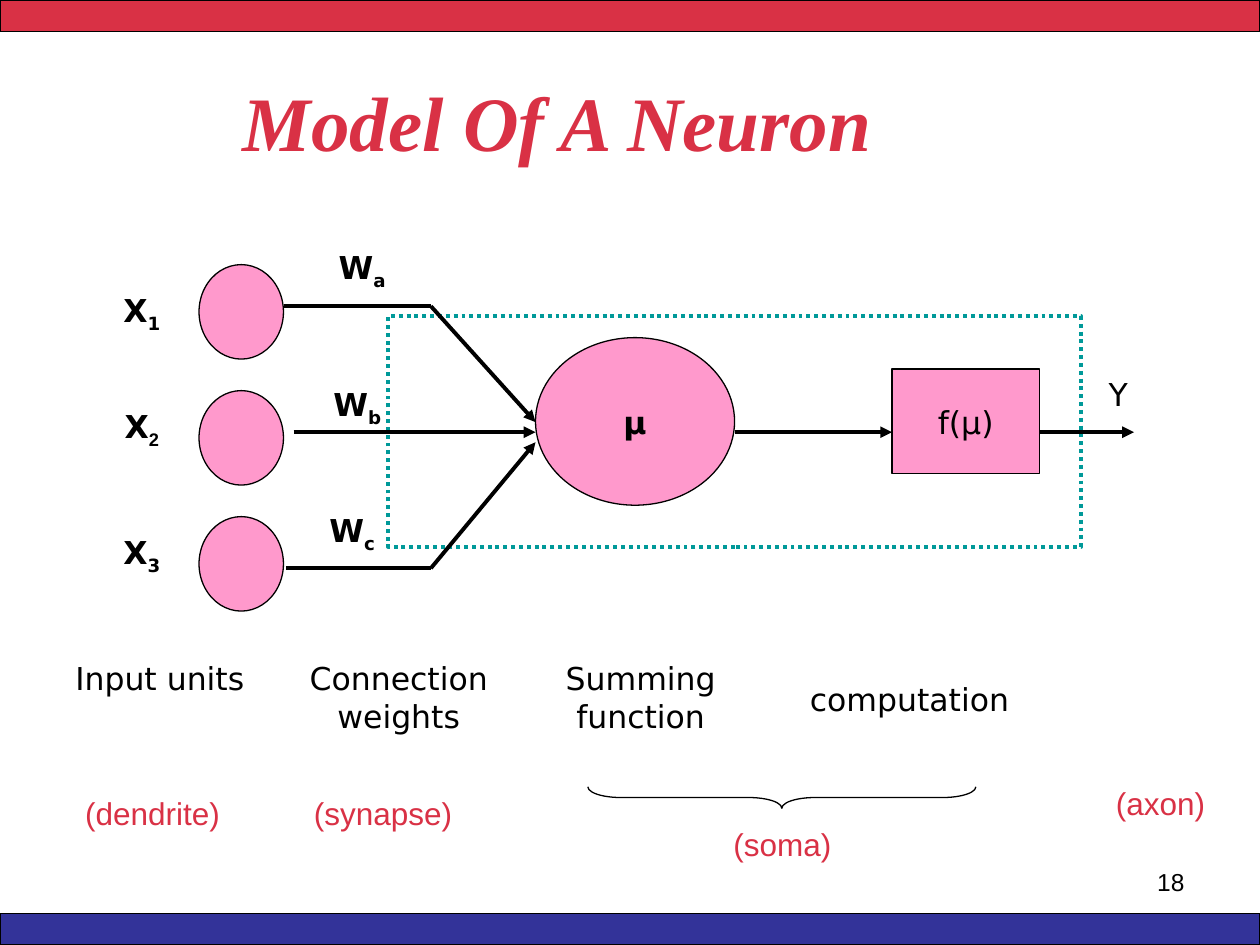
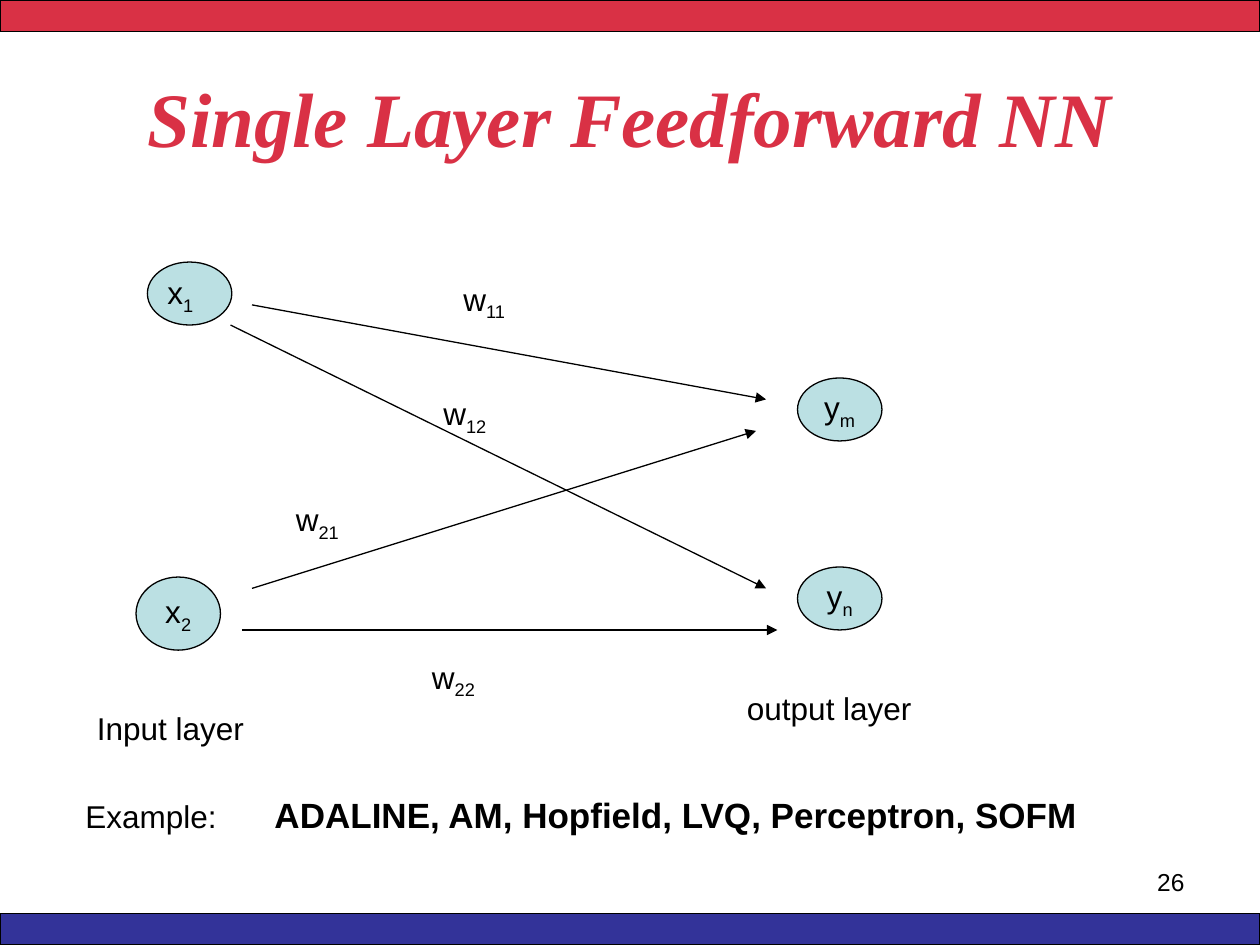
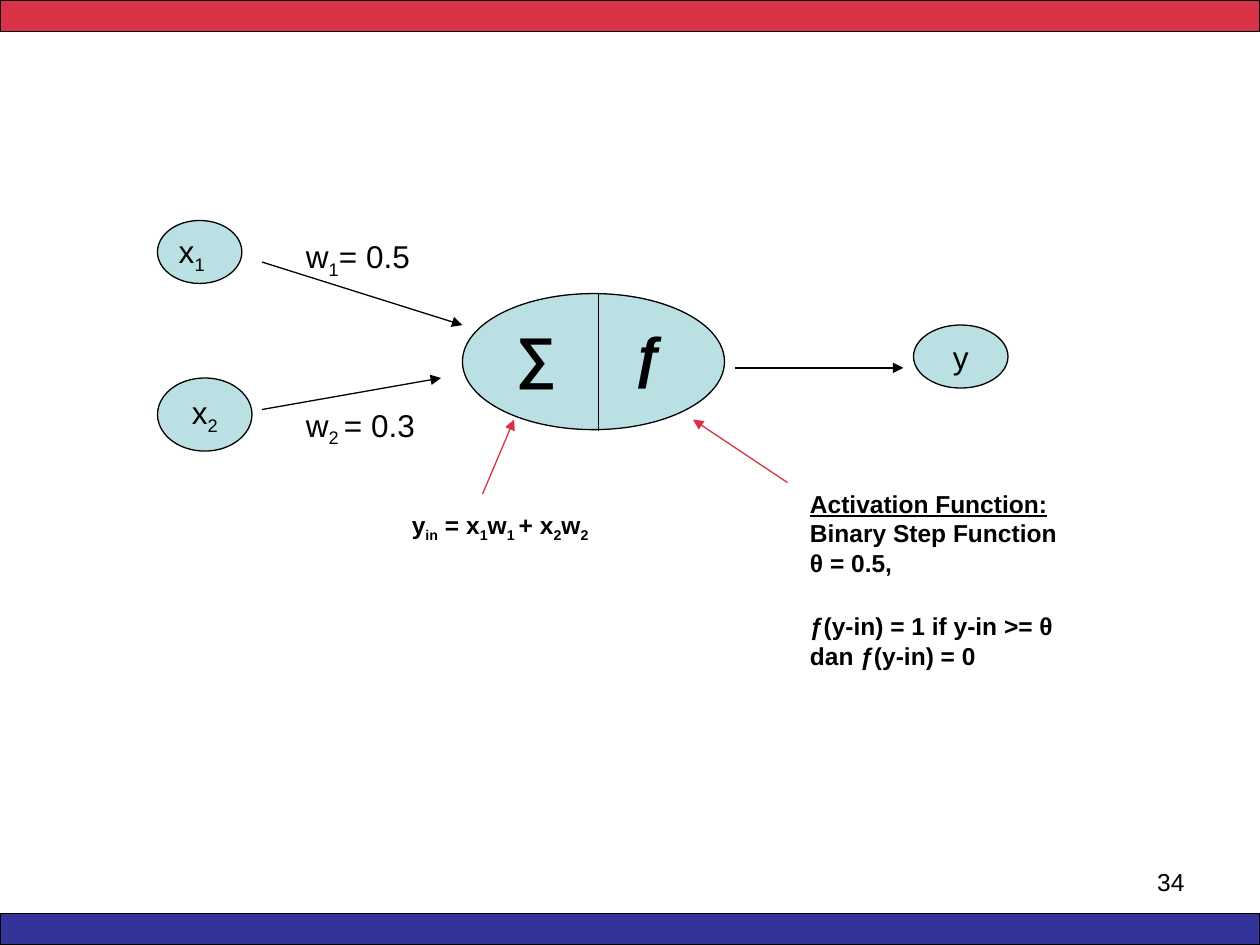
from dataclasses import dataclass, field
from typing import Any, Optional

from lxml import etree
from pptx import Presentation
from pptx.dml.color import RGBColor
from pptx.enum.dml import MSO_LINE
from pptx.enum.shapes import MSO_CONNECTOR, MSO_SHAPE
from pptx.enum.text import MSO_ANCHOR, MSO_AUTO_SIZE, PP_ALIGN
from pptx.oxml.ns import qn
from pptx.util import Inches, Pt

RECT, OVAL, BRACE = MSO_SHAPE.RECTANGLE, MSO_SHAPE.OVAL, MSO_SHAPE.RIGHT_BRACE
STRAIGHT = MSO_CONNECTOR.STRAIGHT
LEFT, CENTER, RIGHT = PP_ALIGN.LEFT, PP_ALIGN.CENTER, PP_ALIGN.RIGHT
TOP, MIDDLE = MSO_ANCHOR.TOP, MSO_ANCHOR.MIDDLE
GROW, FIXED = MSO_AUTO_SIZE.SHAPE_TO_FIT_TEXT, MSO_AUTO_SIZE.NONE
DOTTED = MSO_LINE.ROUND_DOT
Fmt = dict[str, Any]


@dataclass(frozen=True)
class Theme:
    red: str = "D93145"
    blue: str = "333399"
    pink: str = "FF99CC"
    aqua: str = "BBE0E3"
    teal: str = "009999"
    black: str = "000000"
    sans: str = "Arial"
    diagram: str = "DejaVu Sans"
    serif: str = "Times New Roman"
    title_size: int = 44
    symbol_size: int = 32
    example_size: int = 20
    body_size: int = 18
    small_size: int = 14
    thin: float = 0.75
    thick: float = 2.25


T = Theme()
BODY: Fmt = dict(name=T.sans, size=Pt(T.body_size), color=T.black)
BIOLOGY: Fmt = BODY | dict(color=T.red)
DIAGRAM: Fmt = BODY | dict(name=T.diagram)
DIAGRAM_BOLD: Fmt = DIAGRAM | dict(bold=True)
EXAMPLE: Fmt = BODY | dict(size=Pt(T.example_size), bold=True)
SYMBOL: Fmt = BODY | dict(size=Pt(T.symbol_size), bold=True)
PAGE: Fmt = BODY | dict(size=Pt(T.small_size))
NOTE: Fmt = PAGE | dict(bold=True)
TITLE: Fmt = dict(name=T.serif, size=Pt(T.title_size), color=T.red, bold=True, italic=True)


@dataclass(frozen=True)
class Para:
    text: str
    fmt: Fmt = field(default_factory=lambda: BODY)
    sub_font: Optional[str] = None
    before: float = 0
    tail: str = ""
    tail_fmt: Fmt = field(default_factory=lambda: EXAMPLE)


@dataclass(frozen=True)
class Label:
    x: float
    y: float
    w: float
    h: float
    paras: list[Para]
    align: PP_ALIGN = LEFT
    anchor: MSO_ANCHOR = TOP
    wrap: bool = True
    size: MSO_AUTO_SIZE = GROW


@dataclass(frozen=True)
class Node:
    x: float
    y: float
    w: float
    h: float
    fill: Optional[str] = T.aqua
    para: Optional[Para] = None
    kind: MSO_SHAPE = OVAL
    line: str = T.black
    width: float = T.thin
    dash: Optional[MSO_LINE] = None


@dataclass(frozen=True)
class Edge:
    x1: float
    y1: float
    x2: float
    y2: float
    color: str = T.black
    width: float = T.thin
    arrow: bool = True


def add_run(p, text: str, fmt: Fmt):
    r = p.add_run()
    r.text = text
    for key, value in fmt.items():
        if key == "color":
            r.font.color.rgb = RGBColor.from_string(value)
        else:
            setattr(r.font, key, value)
    return r


def write(p, para: Para, align: PP_ALIGN) -> None:
    p.alignment = align
    if para.before:
        p.space_before = Pt(para.before)
    for i, part in enumerate(para.text.split("~")):
        if not part:
            continue
        r = add_run(p, part, para.fmt)
        if i % 2:
            r.font.name = para.sub_font or para.fmt["name"]
            r.font._element.set("baseline", "-25000")
    if para.tail:
        add_run(p, para.tail, para.tail_fmt)


def draw_label(s, label: Label) -> None:
    box = s.shapes.add_textbox(*map(Inches, (label.x, label.y, label.w, label.h)))
    tf = box.text_frame
    settings = dict(word_wrap=label.wrap, auto_size=label.size, vertical_anchor=label.anchor)
    for key, value in settings.items():
        setattr(tf, key, value)
    for i, para in enumerate(label.paras):
        write(tf.add_paragraph() if i else tf.paragraphs[0], para, label.align)


def draw_node(s, node: Node):
    sp = s.shapes.add_shape(node.kind, *map(Inches, (node.x, node.y, node.w, node.h)))
    sp.shadow.inherit = False
    if node.fill:
        sp.fill.solid()
        sp.fill.fore_color.rgb = RGBColor.from_string(node.fill)
    else:
        sp.fill.background()
    sp.line.color.rgb = RGBColor.from_string(node.line)
    sp.line.width = Pt(node.width)
    if node.dash:
        sp.line.dash_style = node.dash
    if node.para:
        tf = sp.text_frame
        tf.word_wrap, tf.vertical_anchor = False, MIDDLE
        write(tf.paragraphs[0], node.para, CENTER)
    return sp


def draw_edge(s, edge: Edge) -> None:
    c = s.shapes.add_connector(STRAIGHT, *map(Inches, (edge.x1, edge.y1, edge.x2, edge.y2)))
    c.line.color.rgb = RGBColor.from_string(edge.color)
    c.line.width = Pt(edge.width)
    if edge.arrow:
        etree.SubElement(c.line._get_or_add_ln(), qn("a:tailEnd"), type="triangle")
    etree.SubElement(c._element.spPr, qn("a:effectLst"))


def draw_all(s, items: list) -> None:
    drawers = {Label: draw_label, Node: draw_node, Edge: draw_edge}
    for item in items:
        drawers[type(item)](s, item)


def new_slide(prs, number: int):
    s = prs.slides.add_slide(prs.slide_layouts[6])
    draw_all(s, [
        Node(0, 0, 10, 0.25, T.red, kind=RECT),
        Node(0, 7.25, 10, 0.25, T.blue, kind=RECT),
        Label(7.17, 6.83, 2.33, 0.52, [Para(str(number), PAGE)], RIGHT, size=FIXED),
    ])
    return s


def title(x: float, y: float, text: str, align: PP_ALIGN) -> Label:
    return Label(x, y, 9, 1.25, [Para(text, TITLE)], align, MIDDLE, size=FIXED)


def text(x: float, y: float, w: float, words: str, fmt: Fmt = BODY,
         align: PP_ALIGN = LEFT, h: float = 0.4, wrap: bool = True) -> Label:
    return Label(x, y, w, h, [Para(words, fmt)], align, wrap=wrap)


def neuron_model(prs) -> None:
    s = new_slide(prs, 18)
    axis, bend, soma = 3.43, 3.42, 4.25
    inputs = [Node(1.58, 2.1 + i, 0.67, 0.75, T.pink) for i in range(3)]
    input_labels = [
        Label(0.5, y, 1.25, 0.4, [Para(f"X~{i}~", DIAGRAM_BOLD, sub_font)], CENTER)
        for i, y, sub_font in ((1, 2.26, None), (2, 3.18, T.sans), (3, 4.18, None))
    ]
    weights = [
        text(x, y, 1.25, f"W~{sub}~", DIAGRAM_BOLD, CENTER)
        for x, y, sub in ((2.25, 1.92, "a"), (2.21, 3.01, "b"), (2.17, 4.01, "c"))
    ]
    edges = [
        Edge(x1, y1, x2, y2, width=T.thick, arrow=arrow)
        for x1, y1, x2, y2, arrow in (
            (2.33, axis, soma, axis, True),
            (5.83, axis, 7.08, axis, True),
            (2.25, 2.43, bend, 2.43, False),
            (2.27, 4.51, bend, 4.51, False),
            (bend, 4.51, soma, 3.51, True),
            (bend, 2.43, soma, 3.35, True),
            (8.25, axis, 9, axis, True),
        )
    ]
    captions = [
        text(x, y, w, words, DIAGRAM, align, h)
        for x, y, w, h, words, align in (
            (8.25, 2.93, 1.25, 0.4, "Y", CENTER),
            (2.25, 5.18, 1.83, 0.7, "Connection weights", CENTER),
            (4.17, 5.18, 1.83, 0.7, "Summing function", CENTER),
            (6.33, 5.35, 2, 0.4, "computation", LEFT),
            (0.5, 5.18, 1.83, 0.4, "Input units", LEFT),
        )
    ]
    biology = [
        text(x, y, 1.58, words, BIOLOGY, CENTER)
        for x, y, words in ((0.42, 6.25, "(dendrite)"), (2.25, 6.25, "(synapse)"),
                            (8.42, 6.17, "(axon)"), (5.42, 6.5, "(soma)"))
    ]
    draw_all(s, [
        title(1.83, 0.33, "Model Of A Neuron", LEFT),
        *inputs,
        Node(soma, 2.68, 1.58, 1.33, T.pink, Para("μ", DIAGRAM_BOLD)),
        Node(7.08, 2.93, 1.17, 0.83, T.pink, Para("f(μ)", DIAGRAM), RECT),
        Node(3.08, 2.51, 5.5, 1.83, None, None, RECT, T.teal, T.thick, DOTTED),
        *edges, *captions, *weights, *input_labels, *biology,
    ])
    brace = draw_node(s, Node(6.12, 4.79, 0.17, 3.08, None, kind=BRACE))
    brace.rotation = 90
    brace.adjustments[0], brace.adjustments[1] = 1.54, 0.5


def single_layer(prs) -> None:
    s = new_slide(prs, 26)
    weights = [
        text(x, y, w, f"w~{sub}~", h=h)
        for x, y, w, h, sub in ((3.58, 2.17, 1, 0.7, "11"), (3.42, 3.08, 0.67, 0.4, "12"),
                                (2.25, 3.92, 0.67, 0.4, "21"), (3.33, 5.17, 0.67, 0.4, "22"))
    ]
    outputs = [Node(6.33, y, 0.67, 0.5, para=Para(f"y~{sub}~"))
               for y, sub in ((3, "m"), (4.5, "n"))]
    draw_all(s, [
        title(0.5, 0.3, "Single Layer Feedforward NN", CENTER),
        Node(1.17, 2.08, 0.67, 0.5),
        text(1.23, 2.12, 0.42, "x~1~", wrap=False),
        Node(1.08, 4.58, 0.67, 0.58, para=Para("x~2~")),
        Edge(2, 2.42, 6.08, 3.17),
        Edge(2, 4.67, 6, 3.42),
        Edge(1.83, 2.58, 6.08, 4.67),
        Edge(1.92, 5, 6.17, 5),
        *weights, *outputs,
        text(0.67, 5.58, 1.75, "Input layer"),
        text(5.83, 5.42, 1.75, "output layer"),
        Label(0.58, 6.25, 8.92, 0.44, [
            Para("Example:\t", tail="ADALINE, AM, Hopfield, LVQ, Perceptron, SOFM"),
        ]),
    ])


def activation_example(prs) -> None:
    s = new_slide(prs, 34)
    draw_all(s, [
        Node(1.25, 1.75, 0.67, 0.5),
        text(1.32, 1.79, 0.42, "x~1~", wrap=False),
        Node(1.25, 3, 0.75, 0.58, para=Para("x~2~")),
        Node(3.67, 2.33, 2.08, 1.08),
        Node(7.25, 2.58, 0.75, 0.5, para=Para("y")),
        Edge(2.08, 3.25, 3.5, 3),
        Edge(2.08, 2.08, 3.67, 2.58),
        Edge(5.83, 2.92, 7.17, 2.92),
        Edge(4.75, 2.33, 4.75, 3.42, arrow=False),
        Edge(6.25, 3.83, 5.5, 3.33, T.red),
        Edge(3.83, 3.92, 4.08, 3.33, T.red),
        text(2.33, 1.83, 1.58, "w~1~= 0.5"),
        text(2.33, 3.17, 1.25, "w~2 ~= 0.3"),
        text(3.17, 4, 1.64, "y~in~ = x~1~w~1 ~+ x~2~w~2~", NOTE, h=0.63, wrap=False),
        text(4, 2.5, 0.5, "∑", SYMBOL, h=0.63),
        text(4.92, 2.5, 0.5, "ƒ", SYMBOL | dict(italic=True), h=0.63),
        Label(6.33, 3.83, 2.75, 1.78, [
            Para("Activation Function:", NOTE | dict(underline=True)),
            Para("Binary Step Function", NOTE),
            Para("θ = 0.5,", NOTE),
            Para("ƒ(y-in) = 1 if y-in >= θ", NOTE, before=19.5),
            Para("dan ƒ(y-in) = 0", NOTE),
        ]),
    ])


def main() -> None:
    prs = Presentation()
    prs.slide_width, prs.slide_height = Inches(10), Inches(7.5)
    for build in (neuron_model, single_layer, activation_example):
        build(prs)
    prs.save("out.pptx")


main()
